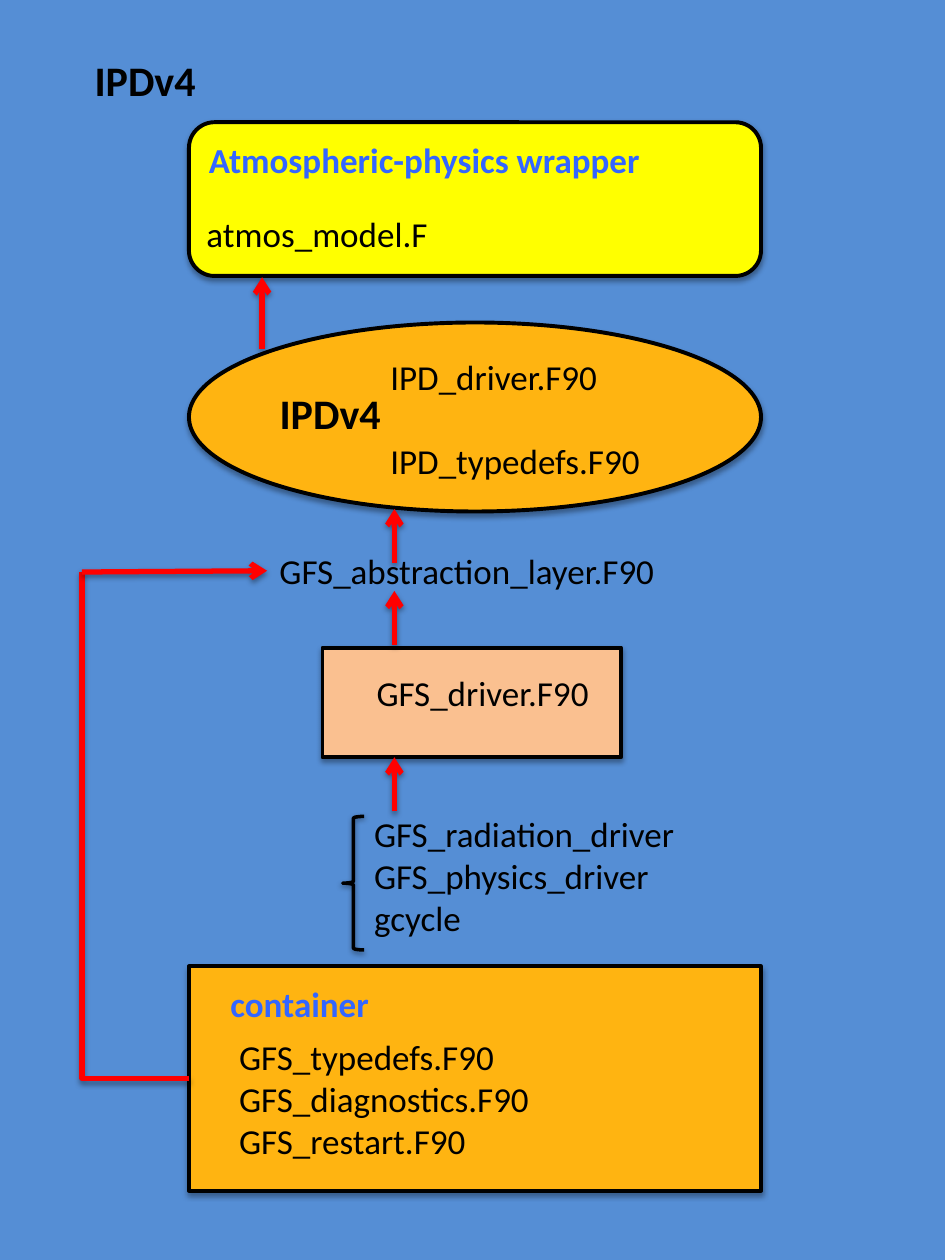
from lxml import etree
from pptx import Presentation
from pptx.dml.color import RGBColor
from pptx.enum.shapes import MSO_CONNECTOR as Link, MSO_SHAPE as Preset
from pptx.enum.text import MSO_ANCHOR as Anchor, PP_ALIGN as Align
from pptx.oxml.ns import qn
from pptx.util import Inches, Pt

COLORS = {"back": "558ED5", "wrapper": "FFFF00", "orange": "FFB411",
          "driver": "FAC090", "heading": "3366FF", "ink": "000000",
          "arrow": "FF0000"}


def rgb(name):
    """Return the named colour."""
    return RGBColor.from_string(COLORS[name])


def cast_shadow(effects, opacity, distance):
    """Fill an effect list with a soft shadow that falls downwards."""
    shadow = etree.SubElement(effects, qn("a:outerShdw"), blurRad=str(Pt(3.1)),
                              dist=str(Pt(distance)), dir="5400000",
                              rotWithShape="0")
    tint = etree.SubElement(shadow, qn("a:srgbClr"), val=COLORS["ink"])
    etree.SubElement(tint, qn("a:alpha"), val=str(opacity * 1000))


def add_outline(slide, preset, box, fill=None, width=2.25, opacity=35, distance=1.8):
    """Draw a black-edged shape with a shadow, filled if a colour is given."""
    outline = slide.shapes.add_shape(preset, *map(Inches, box))
    if fill:
        outline.fill.solid()
        outline.fill.fore_color.rgb = rgb(fill)
    else:
        outline.fill.background()
    outline.line.color.rgb = rgb("ink")
    outline.line.width = Pt(width)
    outline.shadow.inherit = False
    cast_shadow(outline._element.spPr.find(qn("a:effectLst")), opacity, distance)


def write_lines(frame, lines, size=20, color="ink", bold=False, gap=0):
    """Write one paragraph per line, with a gap in points between them."""
    frame.word_wrap = True
    for index, line in enumerate(lines):
        paragraph = frame.paragraphs[0] if index == 0 else frame.add_paragraph()
        paragraph.text = line
        paragraph.alignment = Align.LEFT
        paragraph.space_before = Pt(gap if index else 0)
        font = paragraph.font
        font.name, font.size, font.bold = "Calibri", Pt(size), bold
        font.color.rgb = rgb(color)


def add_label(slide, box, *lines, **style):
    """Place a text box holding the given lines."""
    label = slide.shapes.add_textbox(*map(Inches, box))
    write_lines(label.text_frame, lines, **style)


def add_link(slide, start, end, kind=Link.STRAIGHT, head=True):
    """Draw a red connector with a shadow and, if wanted, an arrowhead."""
    link = slide.shapes.add_connector(kind, *map(Inches, (*start, *end)))
    link.line.color.rgb = rgb("arrow")
    link.line.width = Pt(3)
    properties = link._element.spPr
    if head:
        etree.SubElement(properties.find(qn("a:ln")), qn("a:tailEnd"), type="arrow")
    cast_shadow(etree.SubElement(properties, qn("a:effectLst")), 38, 1.6)
    return link


def add_title(slide, box):
    """Move and format the title placeholder."""
    title = slide.shapes.title
    title.left, title.top, title.width, title.height = map(Inches, box)
    title.text_frame.vertical_anchor = Anchor.TOP
    write_lines(title.text_frame, ["IPDv4"], size=24, bold=True)


def add_wrapper(slide, x, y, w, h):
    """Build the atmospheric-physics wrapper."""
    add_outline(slide, Preset.ROUNDED_RECTANGLE, (x, y, w, h), "wrapper")
    add_label(slide, (x + 0.06, y + 0.08, 4, 0.44), "Atmospheric-physics wrapper",
              color="heading", bold=True)
    add_label(slide, (x + 0.04, y + 0.67, 2.24, 0.44), "atmos_model.F")


def add_ipd(slide, x, y, w, h):
    """Build the IPD ellipse and its two files."""
    add_outline(slide, Preset.OVAL, (x, y, w, h), "orange")
    add_label(slide, (x + 0.62, y + 0.47, 1.09, 0.5), "IPDv4", size=24, bold=True)
    add_label(slide, (x + 1.5, y + 0.21, 2.24, 1.11),
              "IPD_driver.F90", "IPD_typedefs.F90", gap=24)


def add_driver(slide, x, y, w, h):
    """Build the GFS driver box."""
    add_outline(slide, Preset.RECTANGLE, (x, y, w, h), "driver")
    add_label(slide, (x + 0.33, y + 0.14, 2.04, 0.44), "GFS_driver.F90")


def add_routines(slide, x, y, w, h):
    """Build the braced list of routines."""
    add_outline(slide, Preset.LEFT_BRACE, (x, y + 0.08, 0.17, h - 0.05),
                width=2, opacity=38, distance=1.6)
    add_label(slide, (x + 0.15, y, w - 0.15, h), "GFS_radiation_driver",
              "GFS_physics_driver", "gcycle")


def add_container(slide, x, y, w, h):
    """Build the container and its files."""
    add_outline(slide, Preset.RECTANGLE, (x, y, w, h), "orange")
    add_label(slide, (x + 0.23, y + 0.08, 3.59, 0.44), "container",
              color="heading", bold=True)
    add_label(slide, (x + 0.3, y + 0.5, 2.56, 1.11), "GFS_typedefs.F90",
              "GFS_diagnostics.F90", "GFS_restart.F90")


def add_return_route(slide, x, y, w, h):
    """Lead from the container round the left side to the abstraction layer."""
    route = add_link(slide, (x, y), (x + w, y + h), Link.ELBOW, head=False)
    properties = route._element.spPr
    properties.find(qn("a:prstGeom")).set("prst", "bentConnector2")
    properties.find(qn("a:xfrm")).set("rot", "10800000")
    add_link(slide, (x, y), (x + 1.47, y - 0.01))


def main():
    """Build the slide and save it."""
    deck = Presentation()
    deck.slide_width, deck.slide_height = Inches(7.5), Inches(10)
    slide = deck.slides.add_slide(deck.slide_layouts[5])
    slide.background.fill.solid()
    slide.background.fill.fore_color.rgb = rgb("back")

    left, width = 1.5, 4.54
    add_title(slide, (0.65, 0.38, 1.11, 0.5))
    add_wrapper(slide, left, 0.97, width, 1.22)
    add_ipd(slide, left, 2.56, width, 1.5)
    add_label(slide, (2.12, 4.31, 3.33, 0.44), "GFS_abstraction_layer.F90")
    add_driver(slide, 2.56, 5.14, 2.37, 0.87)
    add_routines(slide, 2.72, 6.4, 3.33, 1.11)
    add_container(slide, left, 7.67, width, 1.78)

    add_link(slide, (2.08, 2.77), (2.08, 2.2))
    for tip in (4.04, 4.69, 6.01):
        add_link(slide, (3.13, tip + 0.43), (3.13, tip))
    add_return_route(slide, 0.65, 4.54, 0.85, 4.02)
    deck.save("out.pptx")


main()
